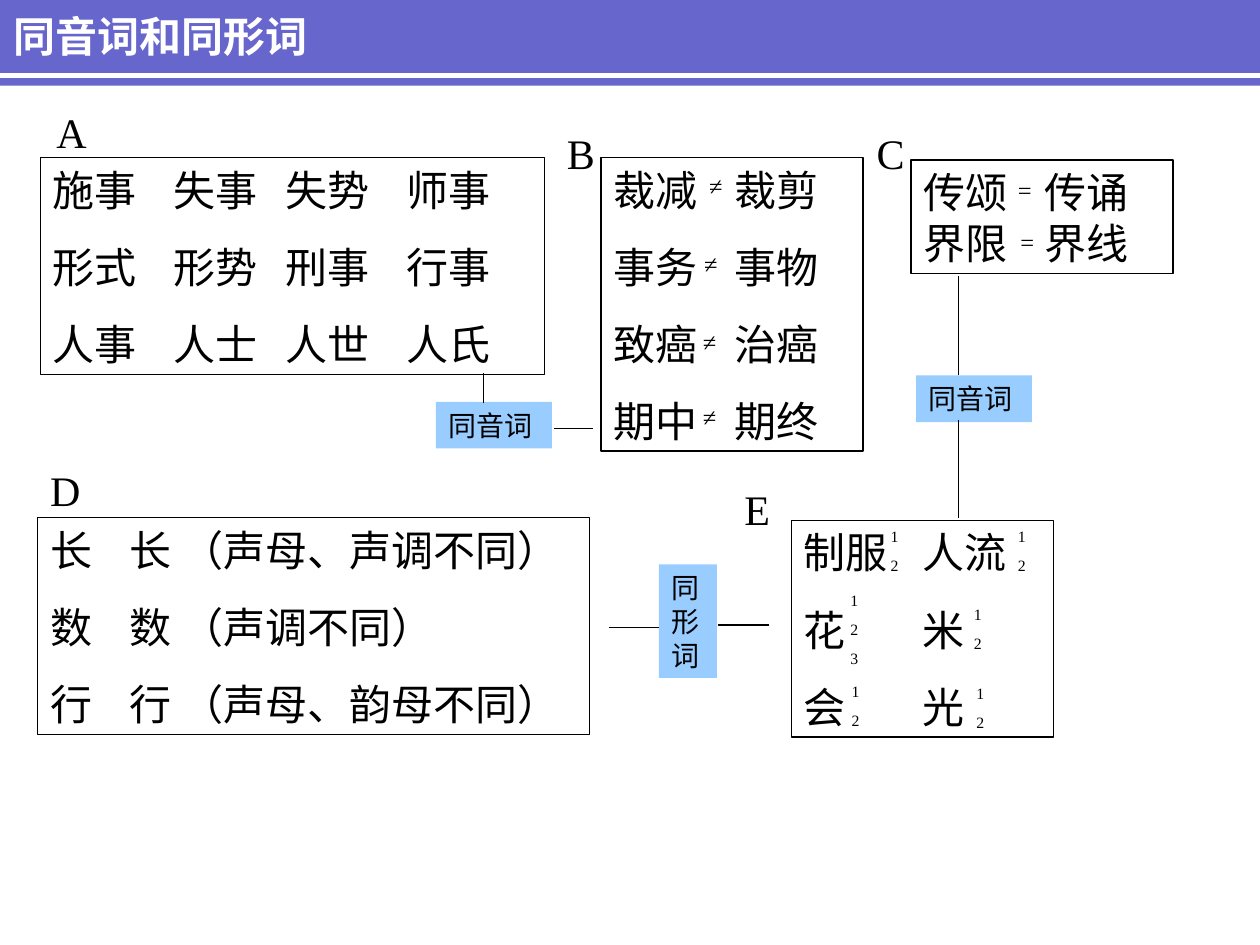
from dataclasses import dataclass

from lxml.etree import SubElement
from pptx import Presentation
from pptx.dml.color import RGBColor
from pptx.enum.shapes import MSO_CONNECTOR as Connector, MSO_SHAPE as Shape
from pptx.enum.text import MSO_ANCHOR as Anchor, MSO_AUTO_SIZE as AutoSize, PP_ALIGN as Align
from pptx.oxml.ns import qn
from pptx.util import Inches, Pt

COLORS = {"band": "6666CC", "tag": "99CCFF", "ink": "000000", "paper": "FFFFFF"}
LATIN, CJK = "Times New Roman", "Noto Sans CJK SC"
WORD, TAG, SIGN, INDEX = 24, 16, 14, 9
SPACE_RATIO = 0.625  # space before a paragraph, relative to its text size
CJK_LINE = 1.21      # line height of Chinese text, relative to its size


@dataclass
class WordBox:
    at: tuple[float, float, float, float]
    rows: list[str]
    stops: tuple[float, ...]
    letter: str
    letter_at: tuple[float, float]
    space_ratio: float = SPACE_RATIO


@dataclass
class Tag:
    at: tuple[float, float, float, float]
    label: str
    links: list[tuple[float, float, float, float]]


@dataclass
class Mark:
    at: tuple[float, float, float, float]
    lines: str
    size: int


WORD_BOXES = [
    WordBox((0.32, 1.25, 4, 1.72),
            ["施事\t失事\t失势\t师事", "形式\t形势\t刑事\t行事", "人事\t人士\t人世\t人氏"],
            (0.96, 1.85, 2.81), "A", (0.35, 0.8)),
    WordBox((4.77, 1.25, 2.08, 2.33),
            ["裁减\t裁剪", "事务\t事物", "致癌\t治癌", "期中\t期终"],
            (0.96,), "B", (4.4, 0.96)),
    WordBox((7.23, 1.27, 2.08, 0.9), ["传颂\t传诵", "界限\t界线"],
            (0.96,), "C", (6.86, 0.96), space_ratio=0),
    WordBox((0.3, 4.11, 4.38, 1.72),
            ["长\t长\t（声母、声调不同）", "数\t数\t（声调不同）", "行\t行\t（声母、韵母不同）"],
            (0.63, 1.04), "D", (0.3, 3.64)),
    WordBox((6.28, 4.13, 2.08, 1.72), ["制服\t人流", "花\t米", "会\t光"],
            (0.94,), "E", (5.81, 3.79)),
]
TAGS = [
    Tag((3.46, 3.19, 0.92, 0.37), "同音词",
        [(3.84, 3.2, 3.84, 2.96), (4.4, 3.4, 4.71, 3.4)]),
    Tag((5.23, 4.48, 0.46, 0.9), "同形词",
        [(5.7, 4.96, 6.1, 4.96), (4.83, 4.98, 5.23, 4.98)]),
    Tag((7.27, 2.98, 0.92, 0.37), "同音词",
        [(7.61, 2.19, 7.61, 2.98), (7.61, 3.33, 7.61, 4.11)]),
]
INDEXES = [
    Mark((6.97, 4.13, 0.39, 0.48), "12", INDEX),
    Mark((7.98, 4.13, 0.39, 0.48), "12", INDEX),
    Mark((6.65, 4.64, 0.39, 0.71), "123", INDEX),
    Mark((7.63, 4.75, 0.28, 0.48), "12", INDEX),
    Mark((7.65, 5.38, 0.28, 0.48), "12", INDEX),
    Mark((6.66, 5.36, 0.28, 0.48), "12", INDEX),
]
SIGNS = [
    Mark((left, top, 0.39, 0.34), sign, SIGN)
    for sign, left, top in [
        ("=", 7.98, 1.34), ("=", 8, 1.75),
        ("≠", 5.53, 1.31), ("≠", 5.49, 1.93), ("≠", 5.48, 2.55), ("≠", 5.48, 3.14),
    ]
]


def color(name: str) -> RGBColor:
    return RGBColor.from_string(COLORS[name])


def set_all(target, values: dict) -> None:
    for attribute, value in values.items():
        setattr(target, attribute, value)


def style_run(run, size: int, ink: str = "ink", latin: str = LATIN, bold: bool = False) -> None:
    set_all(run.font, {"size": Pt(size), "name": latin, "bold": bold})
    run.font.color.rgb = color(ink)
    SubElement(run.font._element, qn("a:ea"), typeface=CJK)


def write(shape, rows, size: int, chinese: bool = False,
          stops: tuple[float, ...] = (), space_ratio: float = SPACE_RATIO) -> None:
    frame = shape.text_frame
    set_all(frame, {
        "word_wrap": True, "auto_size": AutoSize.SHAPE_TO_FIT_TEXT,
        "vertical_anchor": Anchor.TOP,
        "margin_left": Inches(0.1), "margin_right": Inches(0.1),
        "margin_top": Inches(0.05), "margin_bottom": Inches(0.05),
    })
    frame.text = "\n".join(rows)
    for paragraph in frame.paragraphs:
        set_all(paragraph, {"alignment": Align.LEFT, "space_before": Pt(size * space_ratio)})
        if chinese:
            paragraph.line_spacing = Pt(size * CJK_LINE)
        if stops:
            tab_list = SubElement(paragraph._p.get_or_add_pPr(), qn("a:tabLst"))
            for stop in stops:
                SubElement(tab_list, qn("a:tab"), pos=str(Inches(stop)), algn="l")
        for run in paragraph.runs:
            style_run(run, size)


def add_rectangle(slide, at, fill: str = "", line: str = ""):
    rectangle = slide.shapes.add_shape(Shape.RECTANGLE, *map(Inches, at))
    rectangle.shadow.inherit = False
    for part, name in ((rectangle.fill, fill), (rectangle.line.fill, line)):
        if name:
            part.solid()
            part.fore_color.rgb = color(name)
        else:
            part.background()
    if line:
        rectangle.line.width = Pt(0.75)
    return rectangle


def add_line(slide, ends, name: str = "ink", width: float = 0.75) -> None:
    connector = slide.shapes.add_connector(Connector.STRAIGHT, *map(Inches, ends))
    connector.line.color.rgb = color(name)
    connector.line.width = Pt(width)
    SubElement(connector._element.spPr, qn("a:effectLst"))


def add_mark(slide, mark: Mark) -> None:
    write(slide.shapes.add_textbox(*map(Inches, mark.at)), mark.lines, mark.size)


def add_word_box(slide, box: WordBox) -> None:
    write(add_rectangle(slide, box.at, line="ink"), box.rows, WORD,
          chinese=True, stops=box.stops, space_ratio=box.space_ratio)
    add_mark(slide, Mark((*box.letter_at, 0.47, 0.5), box.letter, WORD))


def add_tag(slide, tag: Tag) -> None:
    write(add_rectangle(slide, tag.at, fill="tag"), [tag.label], TAG, chinese=True)
    for ends in tag.links:
        add_line(slide, ends)


def add_header(slide) -> None:
    """Draw the band behind the title placeholder and fill in the title."""
    title = slide.shapes.title
    add_rectangle(slide, (-0.04, -0.03, 10.04, 0.71), fill="band")
    add_line(slide, (-0.04, 0.6, 10, 0.6), "paper", 3)
    slide.shapes._spTree.append(title._element)
    set_all(title, {"left": Inches(0.01), "top": Inches(0),
                    "width": Inches(8.5), "height": Inches(0.57)})
    title.text_frame.text = "同音词和同形词"
    set_all(title.text_frame, {"vertical_anchor": Anchor.MIDDLE, "auto_size": AutoSize.NONE})
    heading = title.text_frame.paragraphs[0]
    heading.alignment = Align.LEFT
    style_run(heading.runs[0], WORD, "paper", CJK, bold=True)


def main() -> None:
    deck = Presentation()
    set_all(deck, {"slide_width": Inches(10), "slide_height": Inches(7.5)})
    slide = deck.slides.add_slide(deck.slide_layouts.get_by_name("Title Only"))
    add_header(slide)
    for box in WORD_BOXES:
        add_word_box(slide, box)
    for mark in INDEXES + SIGNS:
        add_mark(slide, mark)
    for tag in TAGS:
        add_tag(slide, tag)
    deck.save("out.pptx")


if __name__ == "__main__":
    main()
